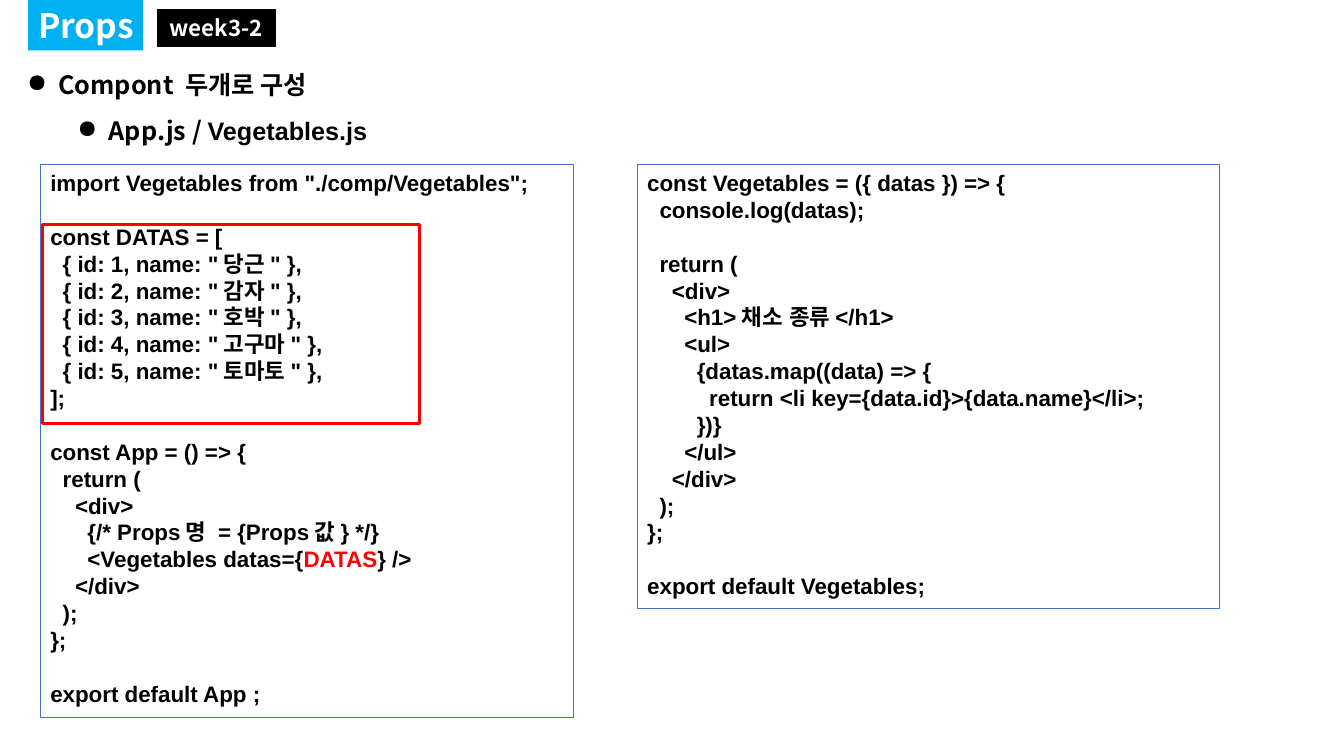
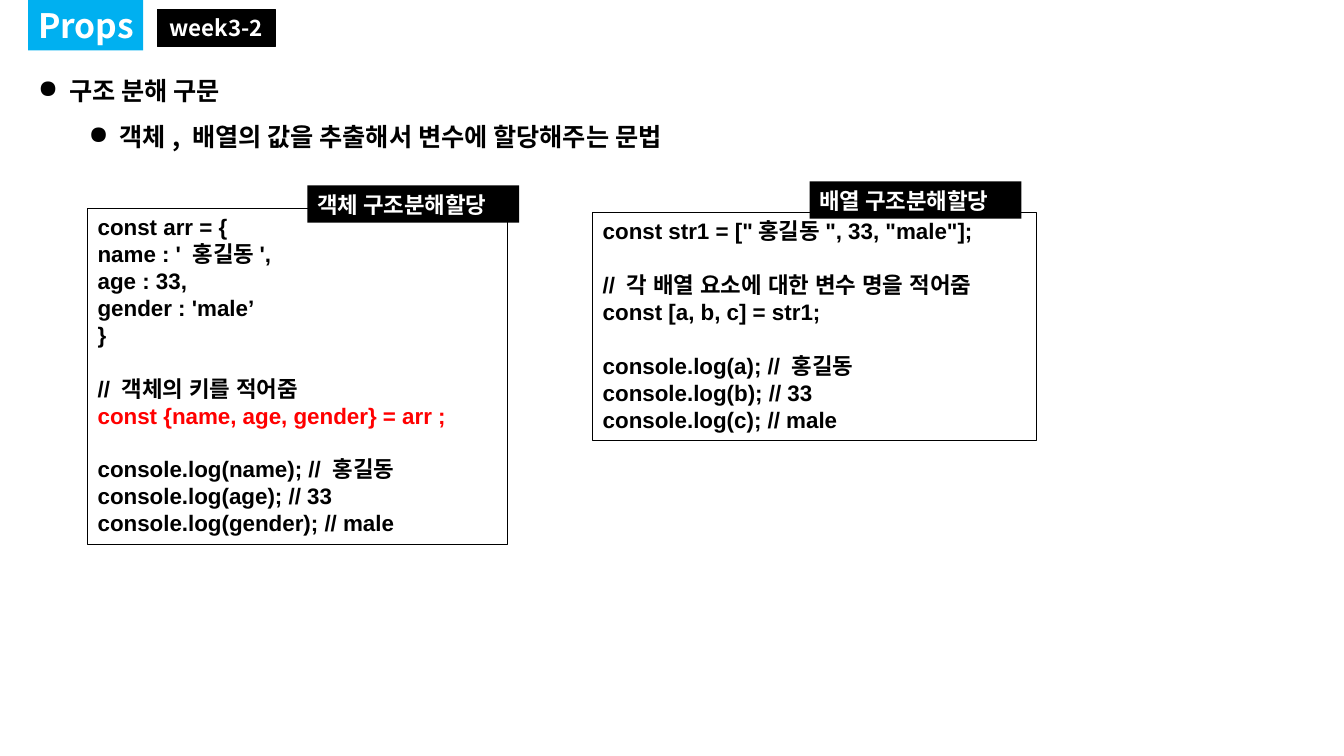
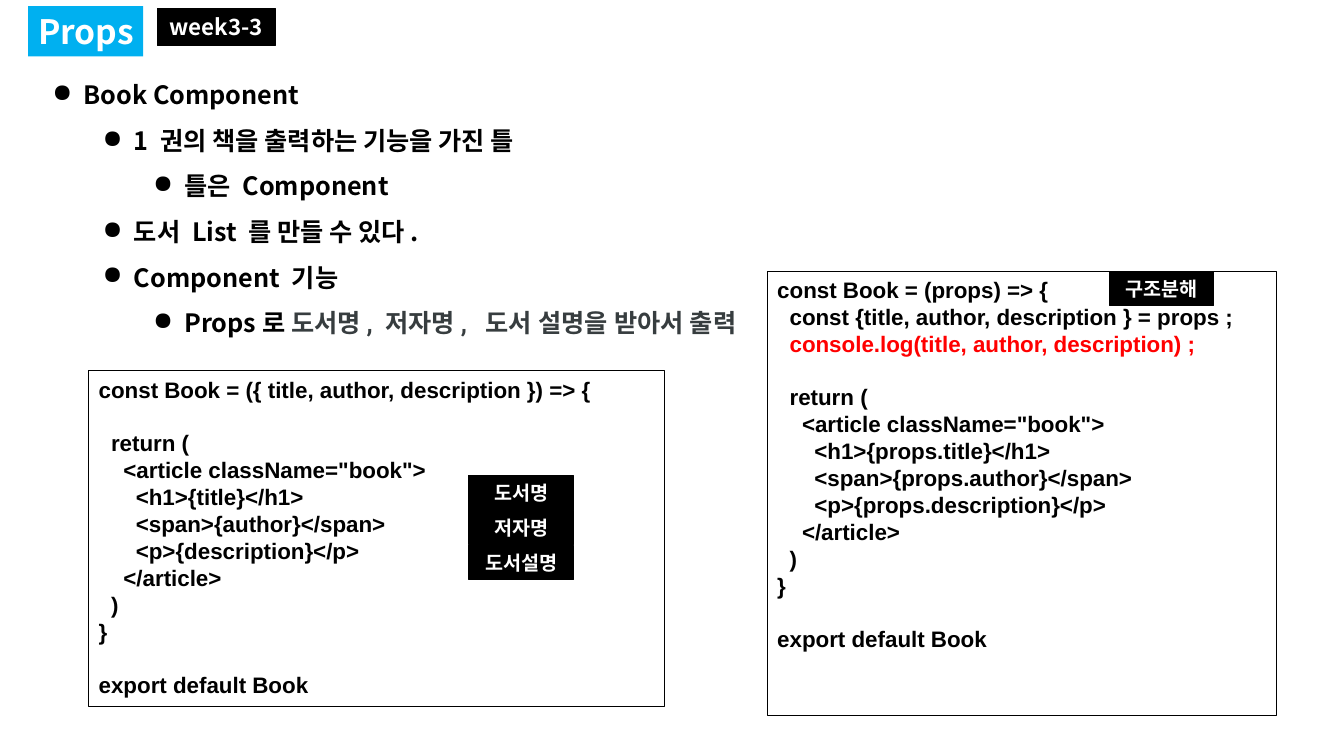
from lxml import etree
from pptx import Presentation
from pptx.dml.color import RGBColor
from pptx.enum.shapes import MSO_SHAPE
from pptx.enum.text import MSO_ANCHOR, MSO_AUTO_SIZE, PP_ALIGN
from pptx.oxml.ns import qn
from pptx.util import Inches, Pt

RECTANGLE = MSO_SHAPE.RECTANGLE
TOP, MIDDLE = MSO_ANCHOR.TOP, MSO_ANCHOR.MIDDLE
LEFT, CENTER = PP_ALIGN.LEFT, PP_ALIGN.CENTER
NO_AUTOFIT = MSO_AUTO_SIZE.NONE

COLORS = {"black": "000000", "white": "FFFFFF", "red": "FF0000",
          "sky": "00B0F0", "blue": "4472C4", "gray": "373D3F"}
SANS, CODE, CABIN, ROBOTO = "Noto Sans CJK KR", "Arial", "Cabin", "Roboto"
CODE_SIZE, CODE_LINE, CODE_INDENT = 16, Pt(19.2), 0.123
BULLET_SIZE, BULLET_LINE = 18, Pt(32.5)
BULLET_HANG, BULLET_STEP = 0.31, 0.5

# Code listings: two leading spaces make one indent level
APP_CODE = """
import Vegetables from "./comp/Vegetables";

const DATAS = [
  { id: 1, name: "당근" },
  { id: 2, name: "감자" },
  { id: 3, name: "호박" },
  { id: 4, name: "고구마" },
  { id: 5, name: "토마토" },
];

const App = () => {
  return (
    <div>
      {/* Props명 = {Props값} */}
      <Vegetables datas={DATAS} />
    </div>
  );
};

export default App ;
"""
VEGETABLES_CODE = """
const Vegetables = ({ datas }) => {
  console.log(datas);

  return (
    <div>
      <h1>채소 종류</h1>
      <ul>
        {datas.map((data) => {
          return <li key={data.id}>{data.name}</li>;
        })}
      </ul>
    </div>
  );
};

export default Vegetables;
"""
OBJECT_CODE = """
const arr = {
name : ' 홍길동',
age : 33,
gender : 'male’
}

// 객체의 키를 적어줌
const {name, age, gender} = arr ;

console.log(name); // 홍길동
console.log(age); // 33
console.log(gender); // male
"""
ARRAY_CODE = """
const str1 = ["홍길동", 33, "male"];

// 각 배열 요소에 대한 변수 명을 적어줌
const [a, b, c] = str1;

console.log(a); // 홍길동
console.log(b); // 33
console.log(c); // male
"""
BOOK_CODE = """
const Book = ({ title, author, description }) => {

  return (
    <article className="book">
      <h1>{title}</h1>
      <span>{author}</span>
      <p>{description}</p>
    </article>
  )
}

export default Book
"""
BOOK_PROPS_CODE = """
const Book = (props) => {
  const {title, author, description } = props ;
  console.log(title, author, description) ;

  return (
    <article className="book">
      <h1>{props.title}</h1>
      <span>{props.author}</span>
      <p>{props.description}</p>
    </article>
  )
}

export default Book
"""

# Bullets: (level, [(text, font, color), ...])
# Listings: (box, code, line color, red text); tags: (box, text, size, font, alignment)
FIELD_NAMES = ["도서명", "저자명", "도서설명"]
SLIDES = [
    {
        "title_top": 0, "week": "week3-2", "week_top": 0.09,
        "bullet_box": (0.17, 0.49, 3.89, 0.95),
        "bullets": [
            (0, [("Compont 두개로 구성", SANS, "black")]),
            (1, [("App.js / ", SANS, "black"), ("Vegetables.js", CODE, "black")]),
        ],
        "listings": [
            ((0.4, 1.63, 5.29, 5.49), APP_CODE, "blue", "{DATAS}"),
            ((6.32, 1.63, 5.78, 4.41), VEGETABLES_CODE, "blue", None),
        ],
        "tags": [],
        "highlight_box": (0.42, 2.23, 3.74, 1.97),
    },
    {
        "title_top": 0, "week": "week3-2", "week_top": 0.09,
        "bullet_box": (0.28, 0.55, 9.11, 0.95),
        "bullets": [
            (0, [("구조 분해 구문", SANS, "black")]),
            (1, [("객체, 배열의 값을 추출해서 변수에 할당해주는 문법", SANS, "black")]),
        ],
        "listings": [
            ((0.87, 2.07, 4.16, 3.33), OBJECT_CODE, "black",
             "const {name, age, gender} = arr ;"),
            ((5.88, 2.11, 4.4, 2.26), ARRAY_CODE, "black", None),
        ],
        "tags": [
            ((3.05, 1.84, 2.1, 0.37), "객체 구조분해할당", 16, CABIN, LEFT),
            ((8.03, 1.8, 2.1, 0.37), "배열 구조분해할당", 16, CABIN, LEFT),
        ],
    },
    {
        "title_top": 0.06, "week": "week3-3", "week_top": 0.08,
        "bullet_box": (0.42, 0.59, 7.05, 2.78),
        "bullets": [
            (0, [("Book Component", SANS, "black")]),
            (1, [("1 권의 책을 출력하는 기능을 가진 틀", SANS, "black")]),
            (2, [("틀은 Component", SANS, "black")]),
            (1, [("도서 List 를 만들 수 있다.", SANS, "black")]),
            (1, [("Component 기능", SANS, "black")]),
            (2, [("Props로 ", SANS, "black"),
                 ("도서명, 저자명,  도서 설명을 받아서 출력", ROBOTO, "gray")]),
        ],
        "listings": [
            ((0.88, 3.68, 5.71, 3.33), BOOK_CODE, "black", None),
            ((7.61, 2.69, 5.05, 4.41), BOOK_PROPS_CODE, "black",
             "console.log(title, author, description) ;"),
        ],
        "tags": [((4.65, 4.72 + 0.345 * row, 1.04, 0.34), name, 14, SANS, CENTER)
                 for row, name in enumerate(FIELD_NAMES)]
        + [((11, 2.69, 1.04, 0.34), "구조분해", 14, SANS, CENTER)],
    },
]


def rgb(name):
    return RGBColor.from_string(COLORS[name])


def add_run(paragraph, text, size, font, color):
    run = paragraph.add_run()
    run.text = text
    run.font.size = Pt(size)
    run.font.bold = True
    run.font.name = font
    run.font.color.rgb = rgb(color)
    east_asian = etree.SubElement(run._r.get_or_add_rPr(), qn("a:ea"))
    east_asian.set("typeface", font)


def set_frame(shape, anchor):
    frame = shape.text_frame
    frame.word_wrap = True
    frame.auto_size = NO_AUTOFIT
    frame.vertical_anchor = anchor
    frame.margin_left = frame.margin_right = Inches(0.1)
    frame.margin_top = frame.margin_bottom = Inches(0.05)
    return frame


def set_indent(paragraph, left, first=0):
    properties = paragraph._p.get_or_add_pPr()
    properties.set("marL", str(Inches(left)))
    properties.set("indent", str(Inches(first)))
    return properties


def next_paragraph(frame, index):
    return frame.add_paragraph() if index else frame.paragraphs[0]


def add_rectangle(slide, box, fill=None, line=None, width=0.75):
    shape = slide.shapes.add_shape(RECTANGLE, *map(Inches, box))
    shape.shadow.inherit = False
    if fill:
        shape.fill.solid()
        shape.fill.fore_color.rgb = rgb(fill)
    else:
        shape.fill.background()
    if line:
        shape.line.color.rgb = rgb(line)
        shape.line.width = Pt(width)
    else:
        shape.line.fill.background()
    return shape


def add_title(slide, top):
    title = slide.shapes.title
    title.left, title.top, title.width, title.height = map(Inches, (0.28, top, 1.14, 0.5))
    title.fill.solid()
    title.fill.fore_color.rgb = rgb("sky")
    frame = set_frame(title, MIDDLE)
    frame.margin_right = 0
    frame.paragraphs[0].alignment = LEFT
    add_run(frame.paragraphs[0], "Props", 24, SANS, "white")


def add_tag(slide, box, text, size, font, alignment):
    line = "black" if alignment == CENTER else None
    frame = set_frame(add_rectangle(slide, box, "black", line), MIDDLE)
    frame.paragraphs[0].alignment = alignment
    add_run(frame.paragraphs[0], text, size, font, "white")


def add_bullets(slide, box, bullets):
    frame = set_frame(slide.shapes.add_textbox(*map(Inches, box)), TOP)
    for index, (level, runs) in enumerate(bullets):
        paragraph = next_paragraph(frame, index)
        paragraph.level = level
        paragraph.line_spacing = BULLET_LINE
        properties = set_indent(paragraph, BULLET_HANG + BULLET_STEP * level, -BULLET_HANG)
        etree.SubElement(properties, qn("a:buChar")).set("char", "●")
        for text, font, color in runs:
            add_run(paragraph, text, BULLET_SIZE, font, color)


def split_red(text, red):
    """Yield (text, color) pieces; braces around a red name stay black."""
    if not red or red not in text:
        return [(text, "black")]
    word = red.strip("{}")
    before, _, after = text.partition(word)
    pieces = [(before, "black"), (word, "red"), (after, "black")]
    return [piece for piece in pieces if piece[0]]


def add_listing(slide, box, code, line, red):
    frame = set_frame(add_rectangle(slide, box, line=line), TOP)
    index, gap = 0, False
    for row in code.strip().split("\n"):
        text = row.strip()
        if not text:
            gap = True
            continue
        paragraph = next_paragraph(frame, index)
        paragraph.alignment = LEFT
        paragraph.line_spacing = CODE_LINE
        paragraph.space_before = CODE_LINE if gap else Pt(0)
        set_indent(paragraph, (len(row) - len(text)) // 2 * CODE_INDENT)
        for piece, color in split_red(text, red):
            add_run(paragraph, piece, CODE_SIZE, CODE, color)
        index, gap = index + 1, False


def main():
    presentation = Presentation()
    presentation.slide_width = Inches(13.33)
    presentation.slide_height = Inches(7.5)
    title_only = presentation.slide_layouts[5]
    for content in SLIDES:
        slide = presentation.slides.add_slide(title_only)
        add_title(slide, content["title_top"])
        add_tag(slide, (1.56, content["week_top"], 1.17, 0.37),
                content["week"], 16, SANS, CENTER)
        add_bullets(slide, content["bullet_box"], content["bullets"])
        for listing in content["listings"]:
            add_listing(slide, *listing)
        for tag in content["tags"]:
            add_tag(slide, *tag)
        if "highlight_box" in content:
            add_rectangle(slide, content["highlight_box"], line="red", width=2.25)
    presentation.save("out.pptx")


if __name__ == "__main__":
    main()
